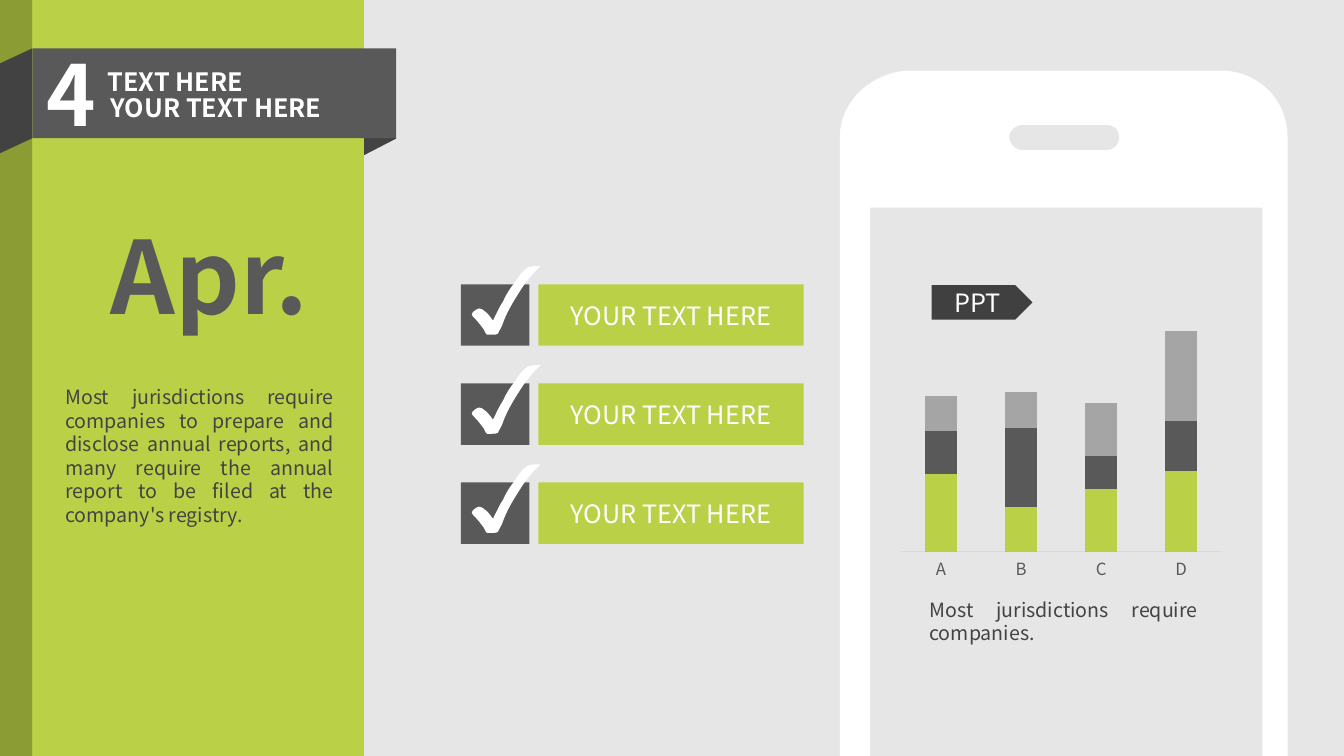
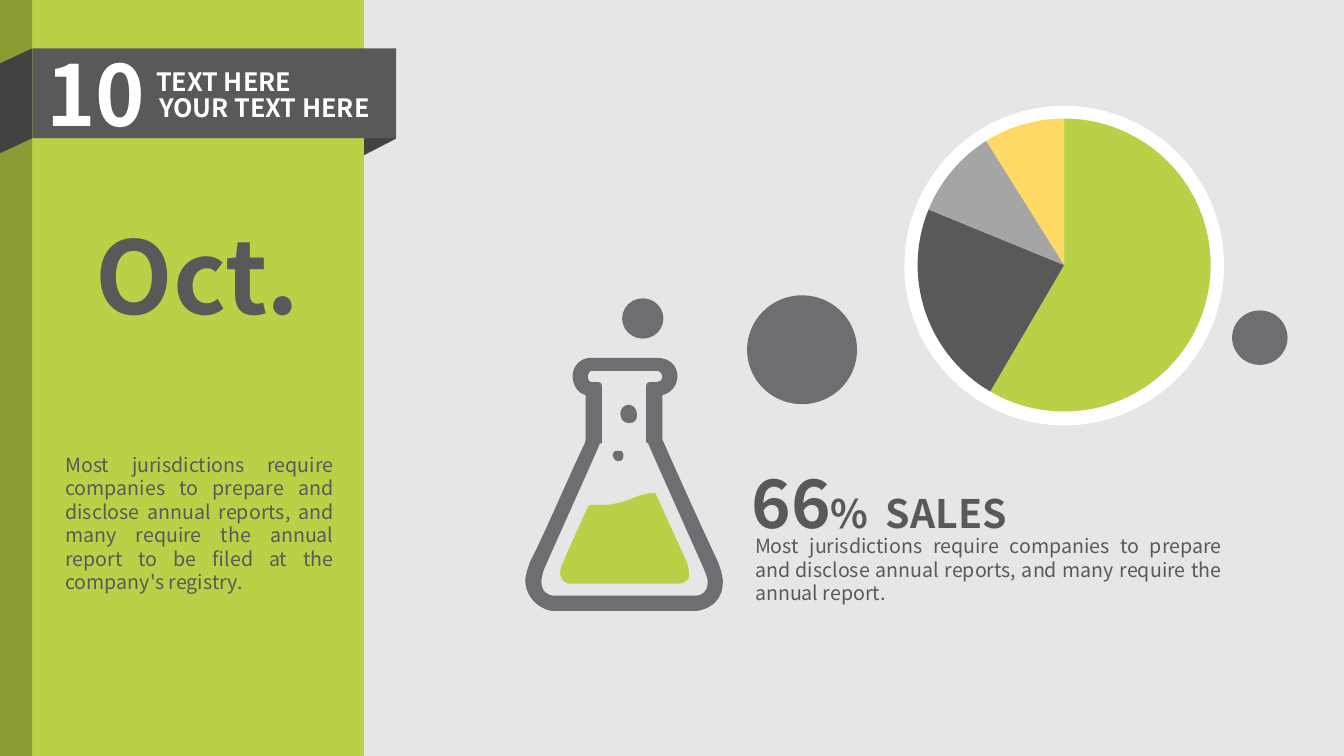
from dataclasses import dataclass

from pptx import Presentation
from pptx.chart.data import CategoryChartData as ChartData
from pptx.dml.color import RGBColor as Rgb
from pptx.enum.chart import XL_CHART_TYPE as Kind, XL_TICK_MARK as Tick
from pptx.enum.shapes import MSO_SHAPE as Form
from pptx.enum.text import MSO_ANCHOR as Anchor, MSO_AUTO_SIZE as Fit, PP_ALIGN as Align
from pptx.oxml import parse_xml
from pptx.oxml.ns import nsdecls, qn
from pptx.util import Inches, Pt

FONT = "Noto Sans CJK SC"
HUES = {
    "back": "E7E6E6",
    "lime": "BAD147",
    "gray": "595959",
    "dark": "434343",
    "tag": "404040",
    "steel": "6D6E71",
    "silver": "A5A5A5",
    "gold": "FFD966",
    "rule": "D9D9D9",
    "white": "FFFFFF",
    "black": "000000",
}
SHORT = "Most jurisdictions require companies"
MID = SHORT + " to prepare and disclose annual reports, and many require the annual report"
LONG = MID + " to be filed at the company's registry."
PITCH = 2.95 / 3

CHECK = (
    "4.89 3.18, 4.92 3.12 4.95 3.05 4.99 2.99, 5.02 2.92 5.06 2.86 5.1 2.81,"
    "5.14 2.75 5.17 2.71 5.19 2.69, 5.21 2.67 5.23 2.66 5.24 2.65,"
    "5.25 2.65 5.26 2.65 5.29 2.64, 5.32 2.64 5.34 2.64 5.35 2.64,"
    "5.35 2.64 5.36 2.64 5.36 2.64, 5.36 2.65 5.36 2.65 5.35 2.65,"
    "5.35 2.65 5.35 2.66 5.33 2.67,"
    "5.28 2.72 5.21 2.8 5.15 2.9, 5.08 3.01 5.02 3.11 4.98 3.23,"
    "4.96 3.27 4.94 3.3 4.94 3.31, 4.93 3.32 4.91 3.32 4.87 3.32,"
    "4.85 3.32 4.83 3.32 4.83 3.32,"
    "4.82 3.31 4.81 3.3 4.8 3.27, 4.77 3.23 4.74 3.19 4.71 3.16,"
    "4.69 3.14 4.68 3.13 4.68 3.12, 4.68 3.11 4.69 3.09 4.71 3.08,"
    "4.73 3.07 4.74 3.06 4.75 3.06, 4.77 3.06 4.79 3.07 4.81 3.09,"
    "4.83 3.1 4.86 3.14 4.89 3.18"
)
PHONE = (
    "12.1 0.7, 9.04 0.7, 8.67 0.7 8.33 0.99 8.33 1.36, 8.33 8.21,"
    "8.33 8.58 8.67 8.87 9.04 8.87, 12.1 8.87, 12.48 8.87 12.77 8.58 12.77 8.21,"
    "12.77 1.36, 12.77 0.99 12.48 0.7 12.1 0.7"
)
SLOT = (
    "10.13 1.24, 10.97 1.24, 11.05 1.24 11.1 1.28 11.1 1.36, 11.1 1.44 11.05 1.49 10.97 1.49,"
    "10.13 1.49, 10.09 1.49 10.01 1.44 10.01 1.36, 10.01 1.28 10.09 1.24 10.13 1.24"
)
SCREEN = "12.52 7.51, 8.63 7.51, 8.63 2.06, 12.52 2.06"
GLASS = (
    "7.12 5.57, 6.98 5.28 6.64 4.52 6.57 4.36, 6.57 3.92, 6.66 3.9 6.72 3.82 6.72 3.73,"
    "6.72 3.63 6.64 3.55 6.52 3.55, 5.86 3.55, 5.76 3.55 5.68 3.63 5.68 3.73,"
    "5.68 3.82 5.73 3.9 5.81 3.92, 5.81 4.36, 5.8 4.4, 5.69 4.62 5.4 5.3 5.26 5.57,"
    "5.23 5.65 5.21 5.72 5.21 5.77, 5.23 5.98 5.4 6.05 5.47 6.06, 6.91 6.06,"
    "6.93 6.06 7.17 6.03 7.17 5.77, 7.17 5.72 7.15 5.65 7.12 5.57"
)
HOLLOW = (
    "6.9 5.91, 5.49 5.91, 5.45 5.91 5.37 5.88 5.37 5.77, 5.37 5.74 5.38 5.69 5.4 5.64,"
    "5.55 5.3 5.95 4.41 5.95 4.4, 5.97 4.4, 5.97 3.82, 5.97 3.8 5.95 3.79 5.93 3.79,"
    "5.86 3.79, 5.85 3.79 5.83 3.77 5.83 3.73, 5.83 3.72 5.85 3.68 5.86 3.68, 6.52 3.68,"
    "6.55 3.68 6.57 3.72 6.57 3.73, 6.57 3.77 6.55 3.79 6.52 3.79, 6.45 3.79,"
    "6.43 3.79 6.41 3.8 6.41 3.82, 6.41 4.38, 6.41 4.38 6.41 4.4 6.43 4.4,"
    "6.43 4.41 6.83 5.3 6.98 5.64, 7 5.69 7.02 5.74 7.02 5.77, 7.02 5.88 6.95 5.91 6.9 5.91"
)
FIZZ = (
    "6.28 4.19, 6.31 4.18 6.33 4.13 6.31 4.07, 6.29 4.02 6.24 4.01 6.21 4.02,"
    "6.16 4.04 6.14 4.09 6.16 4.14, 6.17 4.19 6.23 4.21 6.28 4.19",
    "6.16 4.57, 6.19 4.55 6.19 4.5 6.17 4.48, 6.16 4.47 6.11 4.47 6.09 4.48,"
    "6.07 4.5 6.07 4.53 6.09 4.55, 6.11 4.58 6.14 4.58 6.16 4.57",
)
FLUID = (
    "6.5 4.89, 6.45 4.89, 6.43 4.89 6.38 4.91 6.33 4.92, 6.24 4.96 6.11 5.01 5.97 5.01,"
    "5.85 5.01, 5.83 5.03, 5.74 5.23 5.64 5.45 5.59 5.57, 5.56 5.62 5.54 5.69 5.57 5.74,"
    "5.59 5.77 5.62 5.79 5.64 5.79, 6.74 5.79, 6.76 5.79 6.81 5.77 6.83 5.74,"
    "6.84 5.69 6.83 5.62 6.81 5.57, 6.74 5.42 6.6 5.11 6.5 4.89"
)


@dataclass
class Box:
    left: float
    top: float
    width: float
    height: float

    def emu(self) -> list:
        return [Inches(n) for n in (self.left, self.top, self.width, self.height)]


@dataclass
class Type:
    size: float
    hue: str = "gray"
    bold: bool = False
    align: Align = Align.LEFT
    wrap: bool = True


@dataclass
class Month:
    rank: str
    span: float
    label: float
    name: str
    left: float
    top: float
    hue: str


HEAD = Type(18, "white", True, wrap=False)
LABEL = Type(18, "white", align=Align.CENTER)


def tint(hue: str) -> Rgb:
    return Rgb.from_string(HUES[hue])


def paint(shape, hue: str):
    shape.shadow.inherit = False
    shape.fill.solid()
    shape.fill.fore_color.rgb = tint(hue)
    shape.line.fill.background()
    return shape


def style(font, size: float, hue: str, bold: bool = False) -> None:
    font.name = FONT
    font.size = Pt(size)
    font.bold = bold
    font.color.rgb = tint(hue)


def put(slide, form: Form, box: Box, hue: str, text: str = ""):
    shape = paint(slide.shapes.add_shape(form, *box.emu()), hue)
    if text:
        shape.text_frame.vertical_anchor = Anchor.MIDDLE
        write(shape.text_frame, text, LABEL)
    return shape


def turn(slide, form: Form, box: Box, hue: str, bend: float):
    shape = put(slide, form, box, hue)
    shape.adjustments[0] = bend
    shape.rotation = 90
    return shape


def write(frame, text: str, kind: Type):
    frame.word_wrap = kind.wrap
    frame.text = text
    line = frame.paragraphs[0]
    line.alignment = kind.align
    for run in line.runs:
        style(run.font, kind.size, kind.hue, kind.bold)
    return line


def note(slide, box: Box, text: str, kind: Type):
    frame = slide.shapes.add_textbox(*box.emu()).text_frame
    line = write(frame, text, kind)
    frame.auto_size = Fit.SHAPE_TO_FIT_TEXT
    return line


def body(slide, box: Box, text: str, hue: str) -> None:
    note(slide, box, text, Type(14, hue, align=Align.JUSTIFY))


def trace(path: str, drop: float) -> list:
    steps = []
    for part in path.split(","):
        nums = [float(n) for n in part.split()]
        steps.append([(Inches(x), Inches(y + drop)) for x, y in zip(nums[::2], nums[1::2])])
    return steps


def carve(slide, hue: str, *paths: str, drop: float = 0) -> None:
    loops = [trace(path, drop) for path in paths]
    pen = slide.shapes.build_freeform(*loops[0][0][0], scale=1.0)
    for loop in loops:
        pen.move_to(*loop[0][0])
        pen.add_line_segments([step[-1] for step in loop[1:]], close=True)
    shape = paint(pen.convert_to_shape(), hue)
    route = shape._element.find(".//" + qn("a:path"))
    for old in list(route):
        route.remove(old)
    for loop in loops:
        for i, step in enumerate(loop):
            tag = "moveTo" if i == 0 else "lnTo" if len(step) == 1 else "cubicBezTo"
            dots = "".join(f'<a:pt x="{x - shape.left}" y="{y - shape.top}"/>' for x, y in step)
            route.append(parse_xml(f'<a:{tag} {nsdecls("a")}>{dots}</a:{tag}>'))
        route.append(parse_xml(f'<a:close {nsdecls("a")}/>'))


def graph(slide, kind: Kind, box: Box, cats: str, rows: list, plot: Box):
    data = ChartData()
    data.categories = list(cats)
    for i, row in enumerate(rows, 1):
        data.add_series(f"Series {i}", row)
    chart = slide.shapes.add_chart(kind, *box.emu(), data).chart
    chart.has_legend = chart.has_title = False
    style(chart.font, 10, "black")
    area = chart._chartSpace.find(".//" + qn("c:plotArea"))
    for old in area.findall(qn("c:layout")):
        area.remove(old)
    sides = {"x": plot.left, "y": plot.top, "w": plot.width, "h": plot.height}
    modes = "".join(f'<c:{k}Mode val="edge"/>' for k in "xy")
    sizes = "".join(f'<c:{k} val="{v}"/>' for k, v in sides.items())
    area.insert(0, parse_xml(
        f'<c:layout {nsdecls("c")}><c:manualLayout><c:layoutTarget val="inner"/>'
        f"{modes}{sizes}</c:manualLayout></c:layout>"
    ))
    return chart


def fill(part, hue: str) -> None:
    part.format.fill.solid()
    part.format.fill.fore_color.rgb = tint(hue)


def frame(slide) -> None:
    turn(slide, Form.ISOSCELES_TRIANGLE, Box(3.47, 1.08, 0.6, 0.32), "dark", 0.725)
    put(slide, Form.RECTANGLE, Box(0, 0, 3.61, 7.5), "lime")
    fold = turn(slide, Form.PARALLELOGRAM, Box(-0.36, 0.84, 1.04, 0.32), "gray", 0.466)
    fold._element.spPr.find(qn("a:xfrm")).set("flipH", "1")
    put(slide, Form.RECTANGLE, Box(0.32, 0.48, 3.61, 0.89), "gray")
    shade = put(slide, Form.RECTANGLE, Box(0, 0, 0.32, 7.5), "black")
    tone = shade._element.spPr.find(".//" + qn("a:srgbClr"))
    tone.append(parse_xml(f'<a:alpha {nsdecls("a")} val="25000"/>'))
    layout = slide.slide_layout
    for old in list(layout.placeholders):
        layout.shapes._spTree.remove(old._element)
    for shape in list(slide.shapes):
        layout.shapes._spTree.append(shape._element)


def start(slide, month: Month) -> None:
    note(slide, Box(0.36, 0.37, month.span, 1.11), month.rank, Type(60, "white", True))
    note(slide, Box(month.label, 0.61, 1.6, 0.4), "TEXT HERE", HEAD)
    note(slide, Box(month.label + 0.03, 0.87, 2.41, 0.4), "YOUR TEXT HERE", HEAD)
    note(slide, Box(month.left, 2.07, 2.26, 1.31), month.name, Type(72, bold=True, wrap=False))
    body(slide, Box(0.55, month.top, 2.86, 1.51), LONG, month.hue)


def april(slide) -> None:
    start(slide, Month("4", 0.72, 0.97, "Apr.", 1, 3.77, "dark"))
    for i in range(3):
        drop = PITCH * i
        put(slide, Form.RECTANGLE, Box(4.57, 2.82 + drop, 0.68, 0.61), "gray")
        put(slide, Form.RECTANGLE, Box(5.34, 2.82 + drop, 2.63, 0.61), "lime", "YOUR TEXT HERE")
        carve(slide, "white", CHECK, drop=drop)
    carve(slide, "white", PHONE, SLOT, SCREEN)

    rows = [(86, 50, 70, 90), (48, 88, 36, 56), (40, 40, 60, 100)]
    chart = graph(slide, Kind.COLUMN_STACKED, Box(8.87, 2.93, 3.31, 2.89), "ABCD", rows,
                  Box(0.02, 0.11, 0.96, 0.77))
    bars = chart.plots[0]
    bars.gap_width, bars.overlap = 150, 100
    for row, hue in zip(bars.series, ("lime", "gray", "silver")):
        fill(row, hue)
    scale = chart.value_axis
    scale.minimum_scale, scale.maximum_scale = 0, 250
    scale.has_major_gridlines = scale.visible = False
    base = chart.category_axis
    base.major_tick_mark = Tick.NONE
    base.format.line.color.rgb = tint("rule")
    base.format.line.width = Pt(0.75)
    style(base.tick_labels.font, 12, "gray")

    body(slide, Box(9.12, 5.88, 2.86, 0.57), SHORT + ".", "dark")
    put(slide, Form.PENTAGON, Box(9.24, 2.83, 1, 0.34), "tag", "PPT")


def fall(slide) -> None:
    start(slide, Month("10", 1.39, 1.45, "Oct.", 0.85, 4.44, "gray"))
    carve(slide, "steel", GLASS, HOLLOW)
    for path in FIZZ:
        carve(slide, "steel", path)
    carve(slide, "lime", FLUID)
    dots = [
        (Box(6.17, 2.96, 0.41, 0.4), "steel"),
        (Box(8.97, 1.05, 3.17, 3.17), "white"),
        (Box(7.41, 2.93, 1.09, 1.08), "steel"),
        (Box(12.22, 3.08, 0.55, 0.54), "steel"),
    ]
    for box, hue in dots:
        put(slide, Form.OVAL, box, hue)

    chart = graph(slide, Kind.PIE, Box(8.18, 1.05, 4.75, 3.16), "1234", [(59, 23, 10, 9)],
                  Box(0.19, 0.04, 0.62, 0.92))
    pie = chart.plots[0]
    pie.vary_by_categories = True
    for i, hue in enumerate(("lime", "gray", "silver", "gold")):
        fill(pie.series[0].points[i], hue)

    body(slide, Box(7.39, 5.25, 4.83, 0.81), MID + ".", "gray")
    line = note(slide, Box(7.3, 4.53, 2.84, 0.91), "66",
                Type(48, bold=True, align=Align.CENTER, wrap=False))
    for text in ("%", " SALES"):
        run = line.add_run()
        run.text = text
        style(run.font, 28, "gray", True)
    line.runs[1]._r.get_or_add_rPr().set("spc", "600")


def main() -> None:
    deck = Presentation()
    deck.slide_width, deck.slide_height = Inches(13.33), Inches(7.5)
    ground = deck.slide_master.background.fill
    ground.solid()
    ground.fore_color.rgb = tint("back")
    first, last = [deck.slides.add_slide(deck.slide_layouts[6]) for _ in range(2)]
    frame(first)
    april(first)
    fall(last)
    deck.save("out.pptx")


if __name__ == "__main__":
    main()
